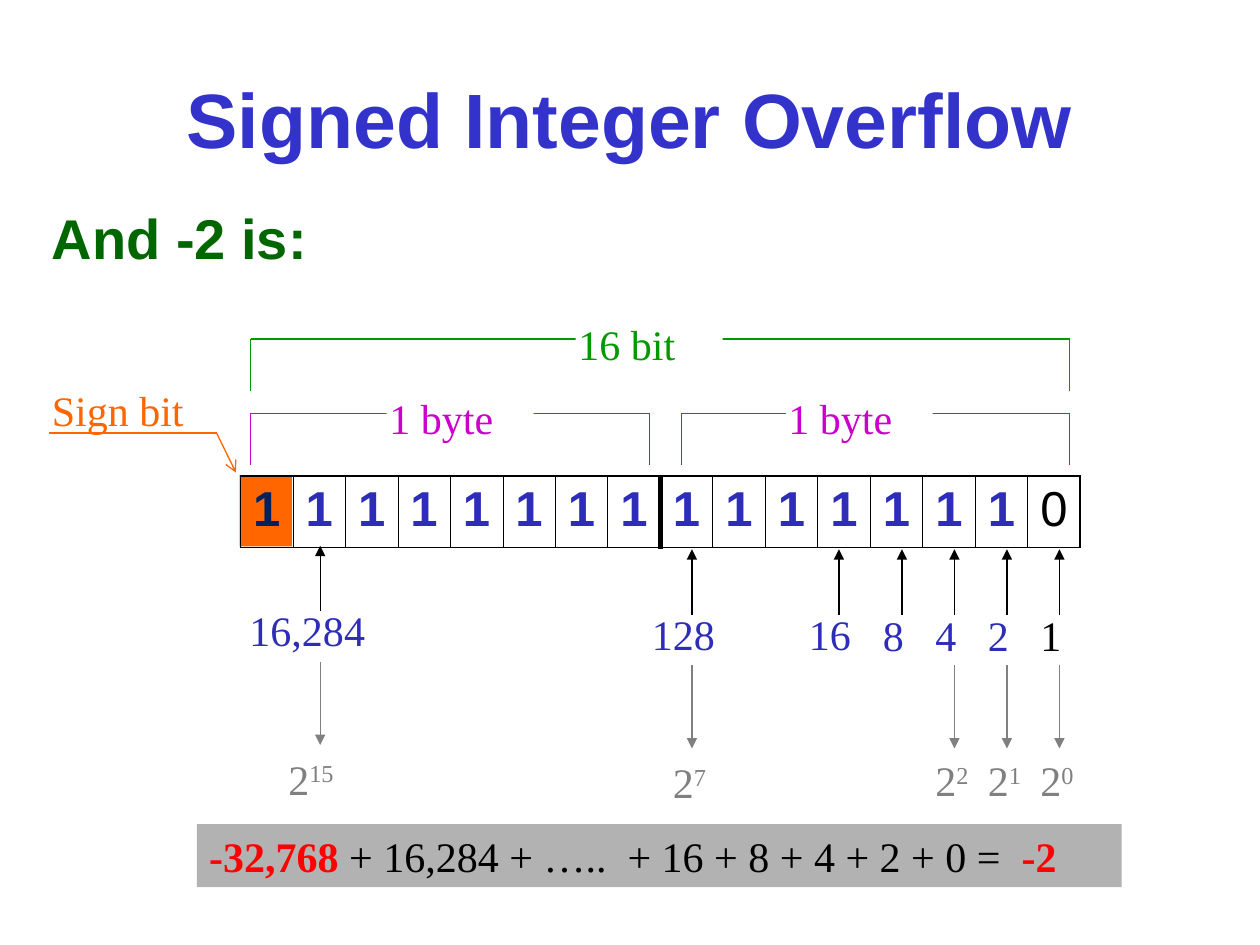
from pptx import Presentation
from pptx.dml.color import RGBColor as Rgb
from pptx.enum.shapes import MSO_CONNECTOR as Conn, MSO_SHAPE as Form
from pptx.enum.text import MSO_ANCHOR as Anchor, PP_ALIGN as Align
from pptx.oxml.ns import qn
from pptx.util import Pt
from lxml.etree import SubElement as Sub

SANS, SERIF = "Arial", "Times New Roman"
BLACK, BLUE, GREY, RED = "000000", "2D2DB9", "808080", "FF0000"
ORANGE, PINK, GREEN, WHITE = "FF6600", "CC00CC", "009900", "FFFFFF"


def hue(code):
    return Rgb.from_string(code)


class Deck:
    base = {"name": SERIF, "size": Pt(24), "bold": False}
    wide = (7.2, 3.6)
    tight = (1.5, 0)

    def __init__(self, slide):
        self.slide = slide

    def label(self, para, runs):
        for text, color, *rest in runs:
            run = para.add_run()
            run.text = text
            form = {**self.base, **(rest[0] if rest else {})}
            raised = form.pop("raised", False)
            for key, value in form.items():
                setattr(run.font, key, value)
            run.font.color.rgb = hue(color)
            if raised:
                run._r.get_or_add_rPr().set("baseline", "30000")

    def box(self, place, runs=(), fill=None, pad=wide, align=Align.LEFT, anchor=Anchor.TOP):
        spots = [Pt(v) for v in place]
        if fill:
            shape = self.slide.shapes.add_shape(Form.RECTANGLE, *spots)
            shape.shadow.inherit = False
            shape.fill.solid()
            shape.fill.fore_color.rgb = hue(fill)
            shape.line.fill.background()
        else:
            shape = self.slide.shapes.add_textbox(*spots)
        side, top = Pt(pad[0]), Pt(pad[1])
        frame = shape.text_frame
        form = {"word_wrap": True, "vertical_anchor": anchor, "margin_left": side,
                "margin_right": side, "margin_top": top, "margin_bottom": top}
        for key, value in form.items():
            setattr(frame, key, value)
        frame.paragraphs[0].alignment = align
        self.label(frame.paragraphs[0], runs)

    def line(self, start, end, color, width=0.75, head=None):
        link = self.slide.shapes.add_connector(Conn.STRAIGHT, *[Pt(v) for v in (*start, *end)])
        link.line.color.rgb = hue(color)
        link.line.width = Pt(width)
        if head:
            Sub(link.line._get_or_add_ln(), qn("a:tailEnd"), type=head)
        Sub(link._element.spPr, qn("a:effectLst"))

    def brace(self, left, right, top, foot, color, text, spot):
        self.line((left, top), (left, foot), color)
        self.line((right, top), (right, foot), color)
        self.line((left, top), (right, top), color)
        self.box((spot, top - 12, 84, 28.8), [(text, color)], WHITE, self.tight)

    def edge(self, cell, side, width):
        line = Sub(cell._tc.get_or_add_tcPr(), qn("a:ln" + side), w=str(Pt(width)))
        fill = Sub(line, qn("a:solidFill"))
        Sub(fill, qn("a:srgbClr"), val=BLACK)

    def bits(self, left, top, size, high, runs):
        count = len(runs)
        grid = self.slide.shapes.add_table(1, count, Pt(left), Pt(top), Pt(size * count), Pt(high)).table
        grid.first_row = grid.horz_banding = False
        grid.rows[0].height = Pt(high)
        for i, run in enumerate(runs):
            grid.columns[i].width = Pt(size)
            cell = grid.cell(0, i)
            sides = {"L": i == 0, "R": i == count - 1, "T": True, "B": True}
            for side, outer in sides.items():
                self.edge(cell, side, 1.08 if outer else 0.45)
            cell.fill.background()
            self.label(cell.text_frame.paragraphs[0], [run])


def main():
    show = Presentation()
    show.slide_width, show.slide_height = Pt(720), Pt(540)
    deck = Deck(show.slides.add_slide(show.slide_layouts[6]))

    bold = {"bold": True}
    head = {"name": SANS, "size": Pt(44), **bold}
    sub = {"name": SANS, "size": Pt(32), **bold}
    digit = {"name": SANS, "size": Pt(28)}

    deck.box((0, 22.5, 720, 90), [("Signed Integer Overflow", "3333CC", head)],
             align=Align.CENTER, anchor=Anchor.MIDDLE)
    deck.box((22.5, 112.5, 686, 46), [("And -2 is:", "006600", sub)])

    left, top, size, high = 137.4, 272, 30, 40.7
    deck.box((left - 0.5, top - 0.5, size, high), fill=ORANGE)
    strong = {**digit, **bold}
    ones = [("1", BLUE, strong)] * 14
    deck.bits(left, top, size, high, [("1", "002060", strong), *ones, ("0", BLACK, digit)])
    deck.line((377.4, top), (377.4, 314), BLACK, 3)

    deck.brace(143.3, 371.3, 236.2, 265.7, PINK, "1 byte", 221)
    deck.brace(389.3, 611.3, 236.2, 265.7, PINK, "1 byte", 449)
    deck.brace(143.3, 611.3, 193.8, 223.7, GREEN, "16 bit", 329)

    last = 605.4
    marks = [
        ("16,284", 183, 47.5, 342, "15", 25.3, 427),
        ("128", 395.4, 30, 344.2, "7", 18, 429),
        ("16", 479.4, 24.3, 344.2, None, 0, 0),
        ("8", last - 3 * size, 18, 345, None, 0, 0),
        ("4", last - 2 * size, 18, 345, "2", 18, 427.7),
        ("2", last - size, 18, 345, "1", 18, 427.7),
        ("1", last, 18, 345, "0", 18, 427.7),
    ]
    for text, x, back, y, power, shift, low in marks:
        rise = 2 if text == "16,284" else 0
        deck.line((x, 351.3 - rise), (x, 313.9 - rise), BLACK, head="triangle")
        deck.box((x - back, y, 114, 36), [(text, BLACK if text == "1" else BLUE)])
        if power:
            deck.line((x, 380 - rise), (x, 427.7 - rise), GREY, head="triangle")
            deck.box((x - shift, low, 54, 36), [("2", GREY), (power, GREY, {"raised": True})])

    deck.box((28.1, 219.5, 84, 28.8), [("Sign bit", ORANGE)], pad=deck.tight)
    deck.line((123.8, 247.5), (28.1, 247.5), ORANGE)
    deck.line((123.8, 247.5), (134.8, 270), ORANGE, head="arrow")

    deck.box((112.5, 471, 528.5, 36), [
        ("-32,768 ", RED, bold),
        ("+ 16,284 + …..  + 16 + 8 + 4 + 2 + 0 =  ", BLACK),
        ("-2", RED, bold),
    ], "B2B2B2")
    show.save("out.pptx")


if __name__ == "__main__":
    main()
